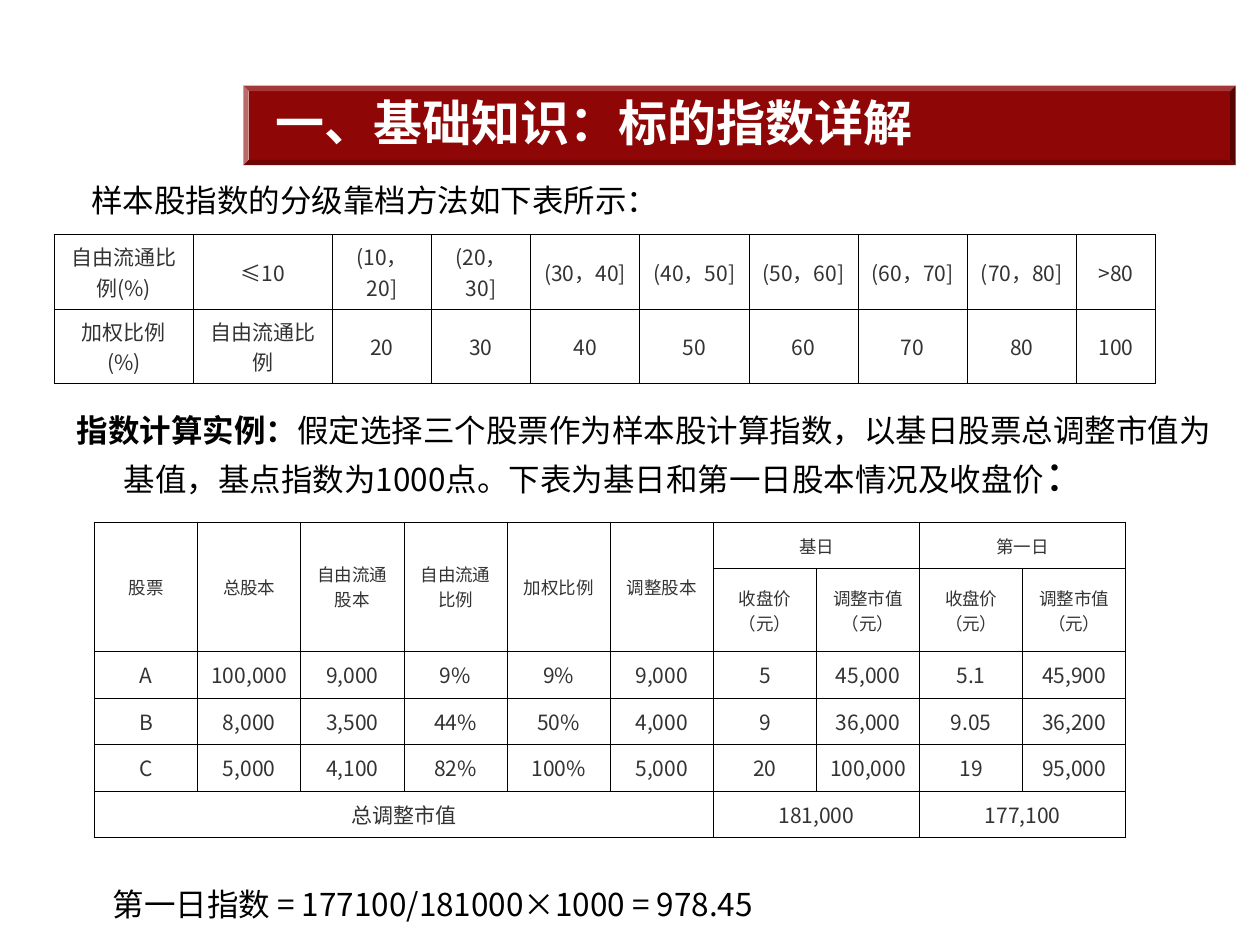
from lxml import etree
from pptx import Presentation
from pptx.dml.color import RGBColor
from pptx.enum.shapes import MSO_SHAPE
from pptx.enum.text import MSO_ANCHOR, PP_ALIGN
from pptx.oxml import parse_xml
from pptx.oxml.ns import nsdecls, qn
from pptx.util import Pt

BEVEL = MSO_SHAPE.BEVEL
MIDDLE = MSO_ANCHOR.MIDDLE
LEFT, CENTER = PP_ALIGN.LEFT, PP_ALIGN.CENTER

DARK_RED = RGBColor(0x8E, 0x06, 0x06)
WHITE = RGBColor(0xFF, 0xFF, 0xFF)
BLACK = RGBColor(0x00, 0x00, 0x00)
GREY = RGBColor(0x33, 0x33, 0x33)
BODY_FONT = "Noto Sans CJK SC"
TITLE_FONT = "DejaVu Sans"


def add_run(paragraph, text, size, color, bold=False, font_name=BODY_FONT):
    run = paragraph.add_run()
    run.text = text
    run.font.size = Pt(size)
    run.font.bold = bold
    run.font.color.rgb = color
    run.font.name = font_name
    east_asian = etree.SubElement(run.font._element, qn("a:ea"))
    east_asian.set("typeface", BODY_FONT)


def add_grid(slide, left, top, widths, heights, rows, sizes, merges=()):
    """Add a bordered table; each merge is (row, column, last row, last column)."""
    table = slide.shapes.add_table(
        len(heights), len(widths), Pt(left), Pt(top),
        Pt(sum(widths)), Pt(sum(heights))).table
    table.first_row = False
    table.horz_banding = False
    for column, width in zip(table.columns, widths):
        column.width = Pt(width)
    for row, height in zip(table.rows, heights):
        row.height = Pt(height)
    for row, column, last_row, last_column in merges:
        table.cell(row, column).merge(table.cell(last_row, last_column))
    for row, (texts, size) in enumerate(zip(rows, sizes)):
        for column, text in enumerate(texts):
            cell = table.cell(row, column)
            cell.vertical_anchor = MIDDLE
            properties = cell._tc.get_or_add_tcPr()
            for side in ("lnL", "lnR", "lnT", "lnB"):
                properties.append(parse_xml(
                    f'<a:{side} {nsdecls("a")} w="{Pt(0.45)}"><a:solidFill>'
                    f'<a:srgbClr val="{BLACK}"/></a:solidFill></a:{side}>'))
            cell.fill.background()
            if text:
                paragraph = cell.text_frame.paragraphs[0]
                paragraph.alignment = CENTER
                add_run(paragraph, text, size, GREY)


presentation = Presentation()
presentation.slide_width = Pt(720)
presentation.slide_height = Pt(540)
slide = presentation.slides.add_slide(presentation.slide_layouts[5])

# Title on its bevelled banner
title = slide.shapes.title
banner = slide.shapes.add_shape(BEVEL, Pt(139), Pt(49), Pt(567), Pt(45.4))
banner.adjustments[0] = 0.068
banner.shadow.inherit = False
banner.fill.solid()
banner.fill.fore_color.rgb = DARK_RED
banner.line.fill.background()
title._element.addprevious(banner._element)

title.left, title.top, title.width, title.height = Pt(150.5), Pt(45.4), Pt(544.3), Pt(48.2)
title.text_frame.vertical_anchor = MIDDLE
title_paragraph = title.text_frame.paragraphs[0]
title_paragraph.alignment = LEFT
add_run(title_paragraph, "一、基础知识：标的指数详解", 28, WHITE, True, TITLE_FONT)

# Body text: left, top, width, height, hanging indent, runs (text, size, bold)
body_texts = [
    (45, 100, 640, 34, 0, [("样本股指数的分级靠档方法如下表所示：", 18, False)]),
    (36.7, 231.6, 669, 68, 27, [
        ("指数计算实例：", 18, True),
        ("假定选择三个股票作为样本股计算指数，以基日股票总调整市值为基值，"
         "基点指数为1000点。下表为基日和第一日股本情况及收盘价", 18, False),
        ("：", 24, False)]),
    (57.4, 502.4, 640, 34, 0, [("第一日指数 = 177100/181000×1000 = 978.45", 18, False)]),
]
for left, top, width, height, hanging, runs in body_texts:
    text_box = slide.shapes.add_textbox(Pt(left), Pt(top), Pt(width), Pt(height))
    text_box.text_frame.word_wrap = True
    paragraph = text_box.text_frame.paragraphs[0]
    if hanging:
        indent = paragraph._p.get_or_add_pPr()
        indent.set("marL", str(Pt(hanging)))
        indent.set("indent", str(-Pt(hanging)))
    for text, size, bold in runs:
        add_run(paragraph, text, size, BLACK, bold)

# Weighting bands by free-float ratio
bands = range(20, 90, 10)
weighting_rows = [
    ["自由流通比例(%)", "≤10", *(f"({band - 10}，{band}]" for band in bands), ">80"],
    ["加权比例(%)", "自由流通比例", *(str(band) for band in bands), "100"],
]
add_grid(slide, 31, 134, [79.5] * 2 + [56.6] * 2 + [62.4] * 5 + [45.4],
         [42.8, 42.4], weighting_rows, [12, 12])

# Worked example with three stocks
price_headers = ["收盘价（元）", "调整市值（元）"]
stock_rows = [
    ["股票", "总股本", "自由流通股本", "自由流通比例", "加权比例", "调整股本",
     "基日", "", "第一日", ""],
    [""] * 6 + price_headers * 2,
    ["A", "100,000", "9,000", "9%", "9%", "9,000", "5", "45,000", "5.1", "45,900"],
    ["B", "8,000", "3,500", "44%", "50%", "4,000", "9", "36,000", "9.05", "36,200"],
    ["C", "5,000", "4,100", "82%", "100%", "5,000", "20", "100,000", "19", "95,000"],
    ["总调整市值"] + [""] * 5 + ["181,000", "", "177,100", ""],
]
stock_merges = [(0, column, 1, column) for column in range(6)]
stock_merges += [(row, column, row, column + 1) for row in (0, 5) for column in (6, 8)]
stock_merges.append((5, 0, 5, 5))
add_grid(slide, 54, 298.4, [58.95] * 10, [26.6, 47.3] + [26.6] * 4,
         stock_rows, [10] * 2 + [12] * 4, stock_merges)

presentation.save("out.pptx")
